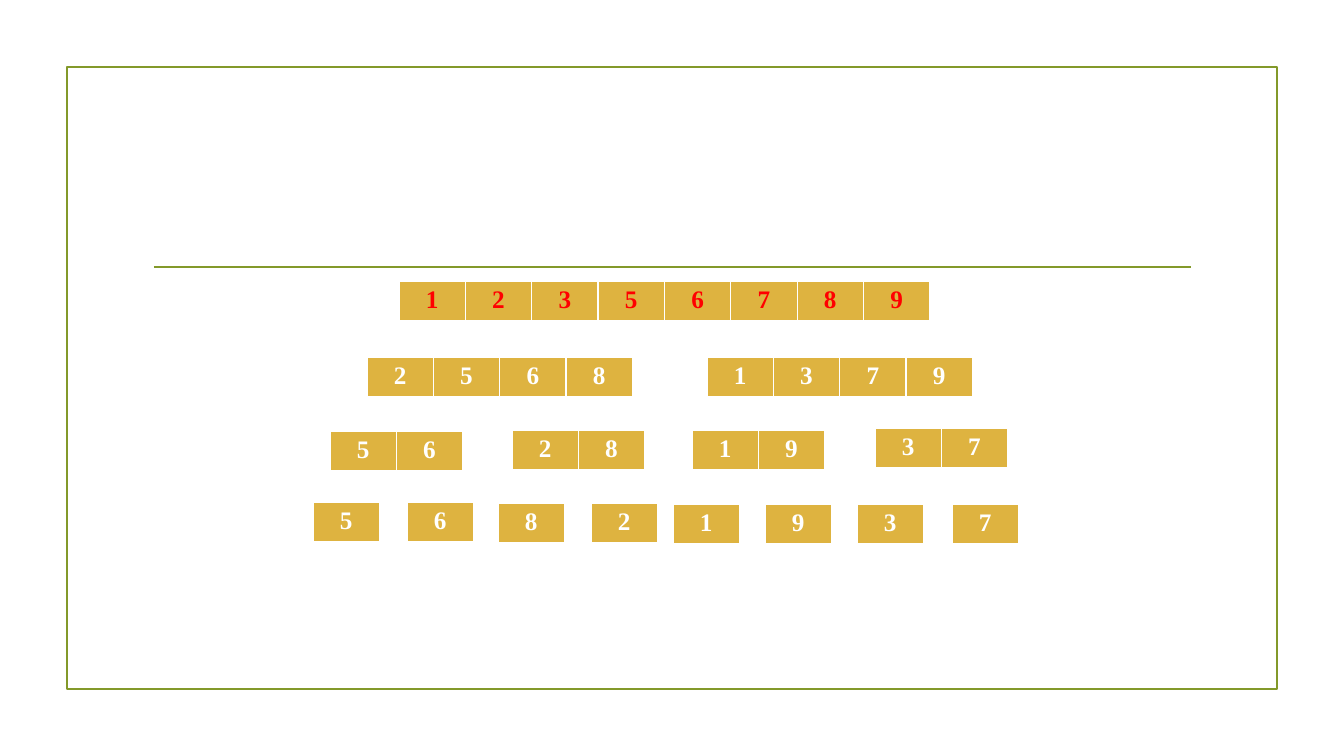
"""Build a slide that shows the merge steps of a merge sort as rows of number tables."""
from lxml import etree
from pptx import Presentation
from pptx import util as u
from pptx.dml.color import RGBColor
from pptx.enum import shapes, text
from pptx.oxml.ns import qn

SCALE = 914400 / 100.8
HUES = {"olive": "83992A", "gold": "DEB340", "white": "FFFFFF", "red": "FF0000"}
EDGES = {"a:lnL": 1, "a:lnR": 1, "a:lnT": 1, "a:lnB": 3}
WIDE, HIGH = 531, 41


def px(n):
    return u.Emu(round(n * SCALE))


def hue(name):
    return RGBColor.from_string(HUES[name])


deck = Presentation()
deck.slide_width, deck.slide_height = px(1344), px(756)
slide = deck.slides.add_slide(deck.slide_layouts[6])

frame = slide.shapes.add_shape(
    shapes.MSO_SHAPE.RECTANGLE, px(67), px(67), px(1210), px(622))
frame.shadow.inherit = False
frame.fill.background()
rule = slide.shapes.add_connector(
    shapes.MSO_CONNECTOR.STRAIGHT, px(154), px(267), px(1191), px(267))
etree.SubElement(rule._element.spPr, qn("a:effectLst"))
for item in (frame, rule):
    item.line.color.rgb = hue("olive")
    item.line.width = u.Pt(1.25)

lists = [
    ("12356789", 399, 281, "red"),
    ("2568", 367, 357, "white"),
    ("1379", 707, 357, "white"),
    ("56", 330, 431, "white"),
    ("28", 512, 430, "white"),
    ("19", 692, 430, "white"),
    ("37", 875, 428, "white"),
    ("5", 313, 502, "white"),
    ("6", 407, 502, "white"),
    ("8", 498, 503, "white"),
    ("2", 591, 503, "white"),
    ("1", 673, 504, "white"),
    ("9", 765, 504, "white"),
    ("3", 857, 504, "white"),
    ("7", 952, 504, "white"),
]
for digits, left, top, ink in lists:
    count = len(digits)
    grid = slide.shapes.add_table(
        1, count, px(left), px(top), px(WIDE * count / 8), px(HIGH)).table
    for col, digit in enumerate(digits):
        cell = grid.cell(0, col)
        props = cell._tc.get_or_add_tcPr()
        for edge, size in EDGES.items():
            line = etree.SubElement(props, qn(edge), w=str(u.Pt(size)))
            fill = etree.SubElement(line, qn("a:solidFill"))
            etree.SubElement(fill, qn("a:srgbClr"), val=HUES["white"])
        cell.fill.solid()
        cell.fill.fore_color.rgb = hue("gold")
        para = cell.text_frame.paragraphs[0]
        para.alignment = text.PP_ALIGN.CENTER
        run = para.add_run()
        run.text = digit
        run.font.name = "Times New Roman"
        run.font.size = u.Pt(18)
        run.font.bold = True
        run.font.color.rgb = hue(ink)

deck.save("out.pptx")
